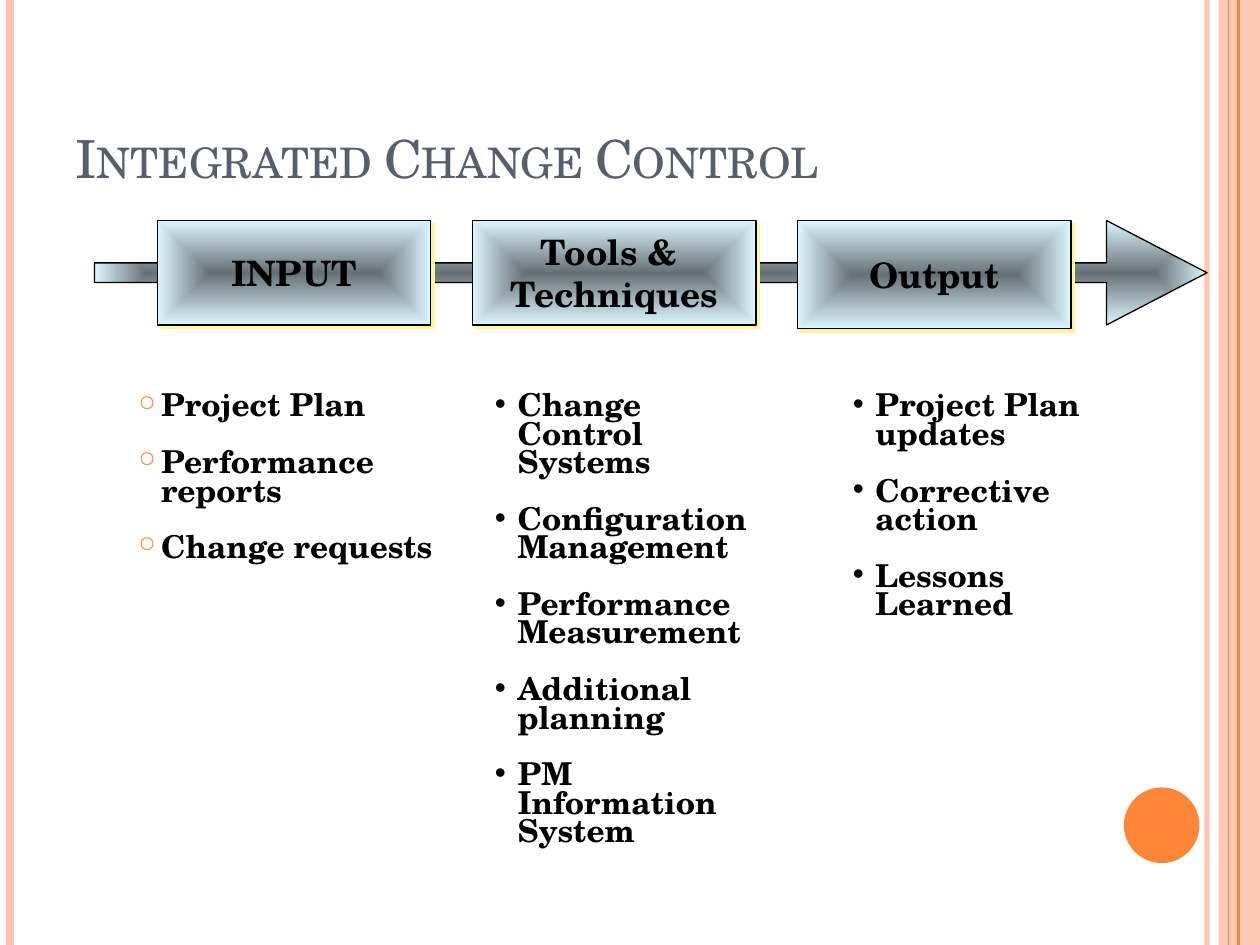
import pptx
import pptx.dml.color
import pptx.enum.shapes
import pptx.enum.text
import pptx.oxml
import pptx.oxml.ns
import pptx.util
from pptx.util import Inches

FONT = "TeX Gyre Schola"
NS = 'xmlns:a="http://schemas.openxmlformats.org/drawingml/2006/main"'
SHAPES = pptx.enum.shapes.MSO_SHAPE
ANCHOR = pptx.enum.text.MSO_ANCHOR
PEACH, ORANGE = "FEC3AE", "FE8637"


def color(hex_code):
    return pptx.dml.color.RGBColor.from_string(hex_code)


def add_run(paragraph, text, size, hex_code="000000", bold=True):
    run = paragraph.add_run()
    run.text = text
    run.font.name = FONT
    run.font.size = pptx.util.Pt(size)
    run.font.bold = bold
    run.font.color.rgb = color(hex_code)
    return run


deck = pptx.Presentation()
deck.slide_width, deck.slide_height = Inches(10), Inches(7.5)
slide = deck.slides.add_slide(deck.slide_layouts[6])
shapes = slide.shapes

# Stripes, side band and dot
side_band = shapes.add_shape(SHAPES.RECTANGLE, Inches(9.67), 0, Inches(0.33), Inches(7.5))
dot = shapes.add_shape(SHAPES.OVAL, Inches(8.92), Inches(6.25), Inches(0.6), Inches(0.6))
for decoration, hex_code in [(side_band, PEACH), (dot, ORANGE)]:
    decoration.shadow.inherit = False
    decoration.fill.solid()
    decoration.fill.fore_color.rgb = color(hex_code)
    decoration.line.fill.background()
stripes = []
for x, hex_code, width in [(9.58, PEACH, 3), (0.08, PEACH, 4.5), (9.83, ORANGE, 1.5), (9.75, ORANGE, 0.75)]:
    stripe = shapes.add_connector(pptx.enum.shapes.MSO_CONNECTOR.STRAIGHT, Inches(x), 0, Inches(x), Inches(7.5))
    stripe.line.color.rgb = color(hex_code)
    stripe.line.width = pptx.util.Pt(width)
    stripe._element.spPr.append(pptx.oxml.parse_xml(f"<a:effectLst {NS}/>"))
    stripes.append(stripe)
for translucent, percent in [(side_band, 87), (stripes[0], 93)]:
    tint = next(translucent._element.spPr.iter(pptx.oxml.ns.qn("a:srgbClr")))
    tint.append(pptx.oxml.parse_xml(f'<a:alpha {NS} val="{percent * 1000}"/>'))

# Title
title = shapes.add_textbox(Inches(0.5), Inches(0.3), Inches(8.17), Inches(1.25)).text_frame
title.word_wrap = True
title.vertical_anchor = ANCHOR.BOTTOM
title_run = add_run(title.paragraphs[0], "Integrated Change Control", 30, "575F6D", bold=False)
title_run.font._element.set("cap", "small")

# Process arrow with its three stages
stages = [
    (SHAPES.RIGHT_ARROW, 0.75, 8.83, 0.83, []),
    (SHAPES.RECTANGLE, 1.25, 2.17, 0.83, ["INPUT"]),
    (SHAPES.RECTANGLE, 3.75, 2.25, 0.83, ["Tools & ", "Techniques"]),
    (SHAPES.RECTANGLE, 6.33, 2.17, 0.86, ["Output"]),
]
for outline, left, width, height, label in stages:
    stage = shapes.add_shape(outline, Inches(left), Inches(1.75), Inches(width), Inches(height))
    stage.shadow.inherit = False
    stage.line.color.rgb = color("000000")
    stage.line.width = pptx.util.Pt(0.75)
    properties = stage._element.spPr
    gradient_path = "shape" if label else "rect"
    properties.insert(2, pptx.oxml.parse_xml(
        f'<a:gradFill {NS} rotWithShape="1"><a:gsLst>'
        '<a:gs pos="0"><a:srgbClr val="667176"/></a:gs>'
        '<a:gs pos="100000"><a:srgbClr val="DDF6FF"/></a:gs></a:gsLst>'
        f'<a:path path="{gradient_path}">'
        '<a:fillToRect l="50000" t="50000" r="50000" b="50000"/></a:path></a:gradFill>'))
    if not label:
        stage.adjustments[0], stage.adjustments[1] = 0.188, 0.962
        continue
    properties.find(pptx.oxml.ns.qn("a:effectLst")).append(pptx.oxml.parse_xml(
        f'<a:outerShdw {NS} dist="{pptx.util.Pt(2.8)}" dir="2700000" algn="ctr" rotWithShape="0">'
        '<a:srgbClr val="FFF39D"/></a:outerShdw>'))
    frame = stage.text_frame
    frame.word_wrap = False
    frame.vertical_anchor = ANCHOR.MIDDLE
    for index, line in enumerate(label):
        paragraph = frame.add_paragraph() if index else frame.paragraphs[0]
        paragraph.alignment = pptx.enum.text.PP_ALIGN.CENTER
        add_run(paragraph, line, 20)

# Bulleted list under each stage
DOT_BULLET = ['<a:buFont {} typeface="Arial"/>', '<a:buChar {} char="•"/>']
RING_BULLET = [f'<a:buClr {{}}><a:srgbClr val="{ORANGE}"/></a:buClr>',
               '<a:buSzPct {} val="70000"/>', '<a:buChar {} char="○"/>']
lists = [
    (1, 2.58, 2.58, RING_BULLET, ["Project Plan", "Performance reports", "Change requests"]),
    (3.83, 2.33, 2.17, DOT_BULLET, ["Change Control Systems", "Configuration Management",
                                    "Performance Measurement", "Additional planning",
                                    "PM Information System"]),
    (6.67, 2.17, 2.17, DOT_BULLET, ["Project Plan updates", "Corrective action", "Lessons Learned"]),
]
for left, width, height, bullet, items in lists:
    frame = shapes.add_textbox(Inches(left), Inches(3.08), Inches(width), Inches(height)).text_frame
    frame.word_wrap = True
    for index, item in enumerate(items):
        paragraph = frame.add_paragraph() if index else frame.paragraphs[0]
        paragraph.line_spacing = 0.75
        paragraph.space_after = pptx.util.Pt(16.2)
        layout = paragraph._p.get_or_add_pPr()
        layout.set("marL", str(Inches(0.18)))
        layout.set("indent", str(Inches(-0.18)))
        for part in bullet:
            layout.append(pptx.oxml.parse_xml(part.format(NS)))
        add_run(paragraph, item, 18)

deck.save("out.pptx")
